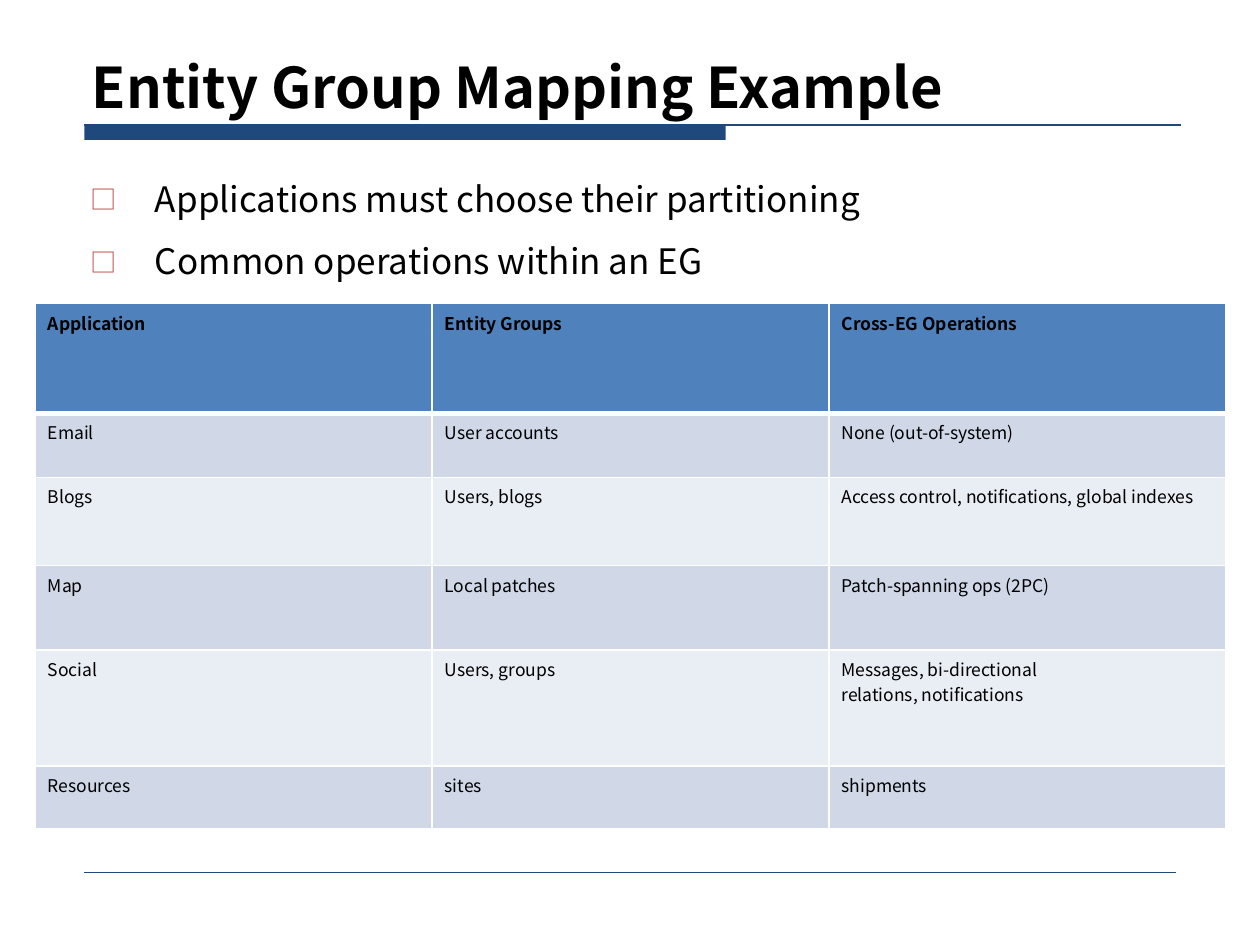
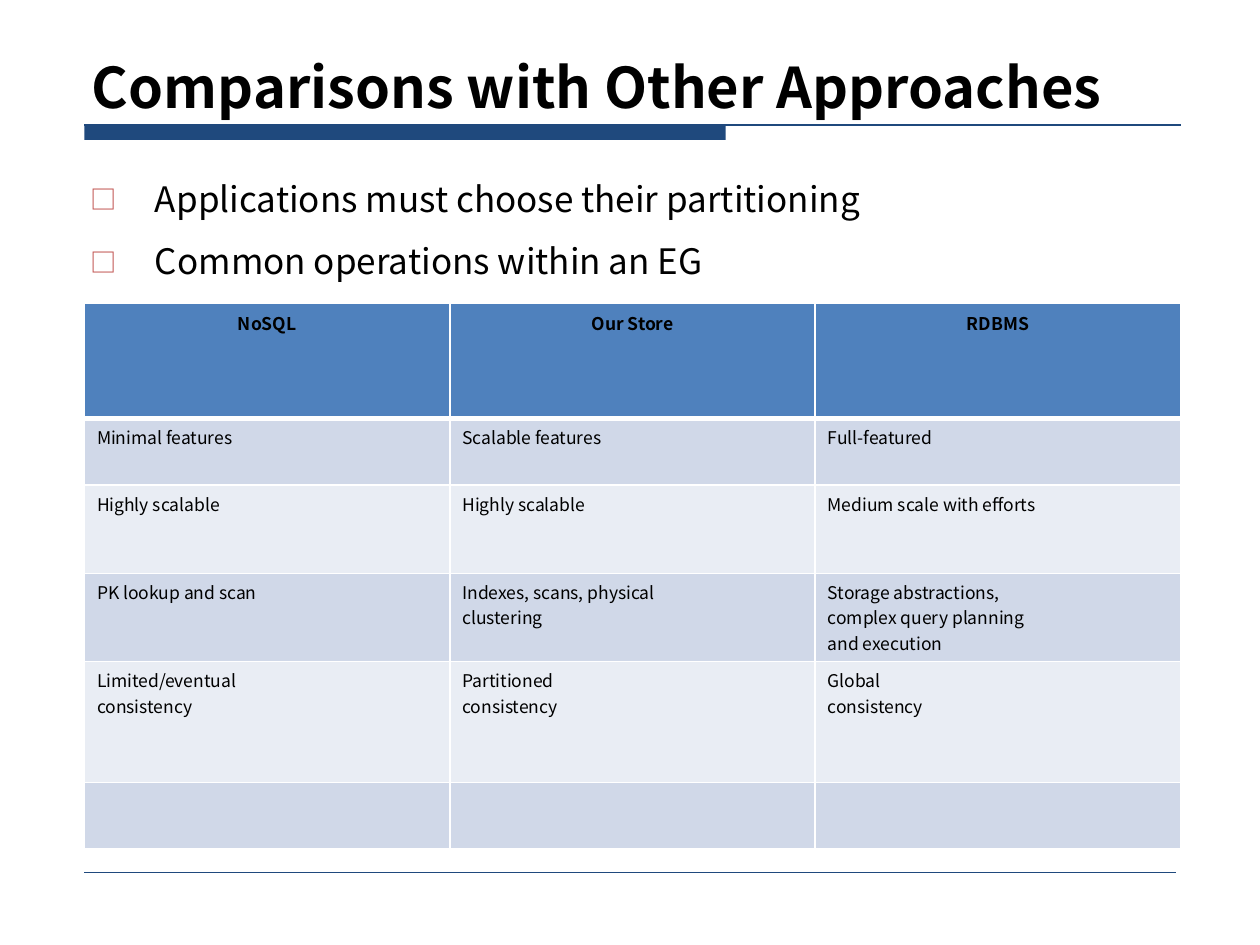
from dataclasses import dataclass

from lxml import etree
from pptx import Presentation
from pptx.dml.color import RGBColor
from pptx.enum.shapes import MSO_CONNECTOR, MSO_SHAPE
from pptx.enum.text import MSO_ANCHOR, MSO_AUTO_SIZE, PP_ALIGN
from pptx.oxml.ns import qn
from pptx.util import Pt

STRAIGHT = MSO_CONNECTOR.STRAIGHT
RECTANGLE = MSO_SHAPE.RECTANGLE
MIDDLE = MSO_ANCHOR.MIDDLE
TOP = MSO_ANCHOR.TOP
NO_AUTOFIT = MSO_AUTO_SIZE.NONE
LEFT = PP_ALIGN.LEFT
CENTER = PP_ALIGN.CENTER

EMU_PER_PX = 9144
TITLE_AND_CONTENT = 1


@dataclass(frozen=True)
class Theme:
    font: str = "Noto Sans CJK KR"
    text: str = "000000"
    navy: str = "1F497D"
    bullet: str = "C0504D"
    header: str = "4F81BD"
    stripes: tuple = ("D0D8E8", "E9EDF4")
    border: str = "FFFFFF"
    title_size: int = 32
    body_size: int = 20
    table_size: int = 10
    line_spacing: float = 1.15
    paragraph_gap: int = 4
    border_width: int = 1
    header_border_width: int = 3


def px(length):
    return round(length * EMU_PER_PX)


def add_element(parent, tag, **attributes):
    return etree.SubElement(parent, qn(tag), attributes)


class Deck:
    def __init__(self, theme):
        self.theme = theme
        self.presentation = Presentation()
        self.presentation.slide_width = px(1000)
        self.presentation.slide_height = px(750)
        self.slide = None

    def new_slide(self, title, bullets):
        layout = self.presentation.slide_layouts[TITLE_AND_CONTENT]
        self.slide = self.presentation.slides.add_slide(layout)
        self.rectangle(67, 99, 509, 12, self.theme.navy)
        self.line(67, 99, 937, 99, 1)
        self.line(67, 692, 933, 692, 0.25)
        self.title(title)
        self.bullets(bullets)

    def rectangle(self, left, top, width, height, color):
        shape = self.slide.shapes.add_shape(
            RECTANGLE, px(left), px(top), px(width), px(height))
        shape.shadow.inherit = False
        shape.fill.solid()
        shape.fill.fore_color.rgb = RGBColor.from_string(color)
        shape.line.fill.background()

    def line(self, start_x, start_y, end_x, end_y, width):
        connector = self.slide.shapes.add_connector(
            STRAIGHT, px(start_x), px(start_y), px(end_x), px(end_y))
        connector.line.color.rgb = RGBColor.from_string(self.theme.navy)
        connector.line.width = Pt(width)
        add_element(connector._element.spPr, "a:effectLst")

    def run(self, paragraph, text, size, bold=False):
        run = paragraph.add_run()
        run.text = text
        run.font.name = self.theme.font
        run.font.size = Pt(size)
        run.font.bold = bold
        run.font.color.rgb = RGBColor.from_string(self.theme.text)

    def paragraphs(self, text_frame, lines, size, bold=False, alignment=LEFT):
        for index, text in enumerate(lines):
            paragraph = text_frame.add_paragraph() if index else text_frame.paragraphs[0]
            paragraph.alignment = alignment
            self.run(paragraph, text, size, bold)

    def place(self, shape, left, top, width, height, anchor):
        shape.left, shape.top = px(left), px(top)
        shape.width, shape.height = px(width), px(height)
        text_frame = shape.text_frame
        text_frame.word_wrap = True
        text_frame.auto_size = NO_AUTOFIT
        text_frame.vertical_anchor = anchor
        return text_frame

    def title(self, text):
        text_frame = self.place(self.slide.shapes.title, 63, 35, 875, 66, MIDDLE)
        self.paragraphs(text_frame, [text], self.theme.title_size, bold=True)

    def bullets(self, lines):
        text_frame = self.place(self.slide.placeholders[1], 62, 131, 875, 527, TOP)
        self.paragraphs(text_frame, lines, self.theme.body_size)
        for paragraph in text_frame.paragraphs:
            paragraph.line_spacing = self.theme.line_spacing
            paragraph.space_before = Pt(self.theme.paragraph_gap)
            paragraph.space_after = Pt(self.theme.paragraph_gap)
            properties = paragraph._p.get_or_add_pPr()
            properties.set("marL", str(px(51)))
            properties.set("indent", str(px(-51)))
            color = add_element(properties, "a:buClr")
            add_element(color, "a:srgbClr", val=self.theme.bullet)
            add_element(properties, "a:buSzPct", val="75000")
            add_element(properties, "a:buFont", typeface=self.theme.font)
            add_element(properties, "a:buChar", char="□")

    def borders(self, cell, row_index):
        thin, thick = self.theme.border_width, self.theme.header_border_width
        widths = {
            "a:lnL": thin,
            "a:lnR": thin,
            "a:lnT": thick if row_index == 1 else thin,
            "a:lnB": thick if row_index == 0 else thin,
        }
        properties = cell._tc.get_or_add_tcPr()
        for tag, width in widths.items():
            border = add_element(properties, tag, w=str(Pt(width)))
            fill = add_element(border, "a:solidFill")
            add_element(fill, "a:srgbClr", val=self.theme.border)

    def table(self, left, top, column_width, row_heights, rows, header_alignment=LEFT):
        column_count = len(rows[0])
        table = self.slide.shapes.add_table(
            len(rows), column_count, px(left), px(top),
            px(column_width * column_count), px(sum(row_heights))).table
        for column in table.columns:
            column.width = px(column_width)
        for row_index, (height, texts) in enumerate(zip(row_heights, rows)):
            table.rows[row_index].height = px(height)
            is_header = row_index == 0
            color = self.theme.header if is_header else self.theme.stripes[(row_index - 1) % 2]
            for column_index, text in enumerate(texts):
                cell = table.cell(row_index, column_index)
                self.borders(cell, row_index)
                cell.fill.solid()
                cell.fill.fore_color.rgb = RGBColor.from_string(color)
                if text:
                    self.paragraphs(
                        cell.text_frame, text.split("\n"), self.theme.table_size,
                        is_header, header_alignment if is_header else LEFT)


PARTITIONING_POINTS = [
    "Applications must choose their partitioning",
    "Common operations within an EG",
]

ENTITY_GROUPS = [
    ("Application", "Entity Groups", "Cross-EG Operations"),
    ("Email", "User accounts", "None (out-of-system)"),
    ("Blogs", "Users, blogs", "Access control, notifications, global indexes"),
    ("Map", "Local patches", "Patch-spanning ops (2PC)"),
    ("Social", "Users, groups", "Messages, bi-directional\nrelations, notifications"),
    ("Resources", "sites", "shipments"),
]

APPROACHES = [
    ("NoSQL", "Our Store", "RDBMS"),
    ("Minimal features", "Scalable features", "Full-featured"),
    ("Highly scalable", "Highly scalable", "Medium scale with efforts"),
    ("PK lookup and scan", "Indexes, scans, physical\nclustering",
     "Storage abstractions,\ncomplex query planning\nand execution"),
    ("Limited/eventual\nconsistency", "Partitioned\nconsistency", "Global\nconsistency"),
    ("", "", ""),
]


def main():
    deck = Deck(Theme())
    deck.new_slide("Entity Group Mapping Example", PARTITIONING_POINTS)
    deck.table(28, 241, 315, [87, 51, 70, 67, 92, 50], ENTITY_GROUPS)
    deck.new_slide("Comparisons with Other Approaches", PARTITIONING_POINTS)
    deck.table(67, 241, 290, [91, 53, 70, 70, 96, 53], APPROACHES, CENTER)
    deck.presentation.save("out.pptx")


if __name__ == "__main__":
    main()
